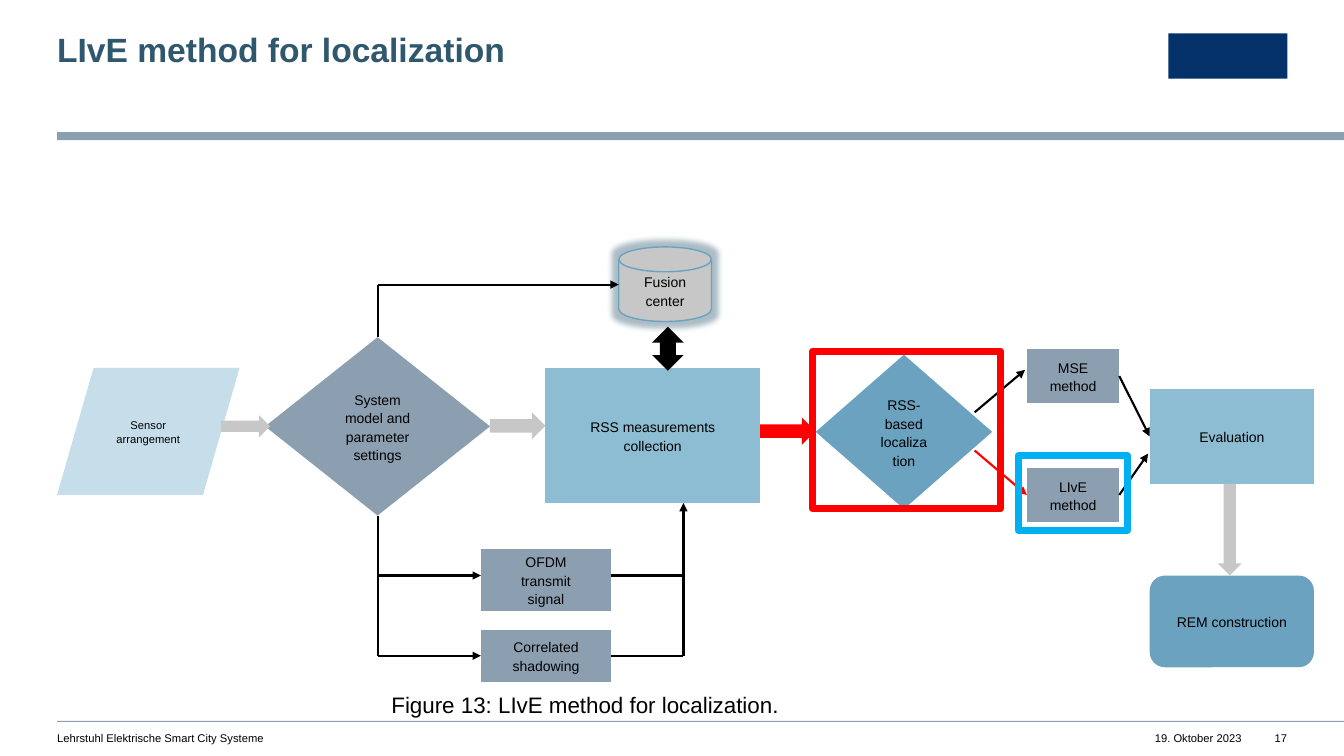
from lxml import etree
from pptx import Presentation
from pptx.dml.color import RGBColor
from pptx.enum.shapes import MSO_CONNECTOR, MSO_SHAPE
from pptx.enum.text import MSO_ANCHOR, PP_ALIGN
from pptx.oxml import parse_xml
from pptx.oxml.ns import qn
from pptx.util import Pt

THEME = {
    "font": "Arial",
    "title": "2F586E", "text": "000000", "logo": "04316A",
    "slate": "8C9FB1", "pale": "C6DEE9", "sky": "8DBDD2", "blue": "6BA2C0",
    "gray": "C7C7C7", "black": "000000", "red": "FF0000", "cyan": "00B0F0",
    "title_size": 24, "caption_size": 16, "step_size": 10, "small_size": 8,
}
TOP, LEFT, BOTTOM, RIGHT = range(4)

prs = Presentation()
prs.slide_width, prs.slide_height = Pt(960), Pt(540)
slide = prs.slides.add_slide(prs.slide_layouts[6])


def add_block(kind, at, fill=None, line=None, line_width=1):
    block = slide.shapes.add_shape(kind, *[Pt(v) for v in at])
    block.shadow.inherit = False
    if fill:
        block.fill.solid()
        block.fill.fore_color.rgb = RGBColor.from_string(THEME[fill])
    else:
        block.fill.background()
    if line:
        block.line.color.rgb = RGBColor.from_string(THEME[line])
        block.line.width = Pt(line_width)
    else:
        block.line.fill.background()
    return block


def write(shape, text, size, align, inset=0, anchor=MSO_ANCHOR.TOP,
          wrap=True, bold=False, color="text", **spacing):
    frame = shape.text_frame
    frame_format = {"word_wrap": wrap, "vertical_anchor": anchor}
    for side in ("left", "top", "right", "bottom"):
        frame_format["margin_" + side] = Pt(inset)
    paragraph = frame.paragraphs[0]
    paragraph.text = text
    font_format = {"name": THEME["font"], "size": Pt(THEME[size]), "bold": bold}
    for target, values in ((frame, frame_format),
                           (paragraph, {"alignment": align, **spacing}),
                           (paragraph.runs[0].font, font_format)):
        for name, value in values.items():
            setattr(target, name, value)
    paragraph.runs[0].font.color.rgb = RGBColor.from_string(THEME[color])


# Header and footer rules, plain block for the logo
add_block(MSO_SHAPE.RECTANGLE, (40.8, 94.3, 919.2, 5.8), "slate")
add_block(MSO_SHAPE.RECTANGLE, (40.8, 515, 919.2, 0.7), "slate")
add_block(MSO_SHAPE.RECTANGLE, (834.5, 23.8, 85, 32.4), "logo")

# Title, caption and footer
body_spacing = {"line_spacing": 1.1, "space_after": Pt(12)}
labels = [
    ("LIvE method for localization", (40.8, 23.8, 539.3, 25.9), "title_size",
     PP_ALIGN.LEFT, {"bold": True, "color": "title", "line_spacing": 0.9}),
    ("Figure 13: LIvE method for localization.", (279.6, 491.8, 506.9, 19.4),
     "caption_size", PP_ALIGN.LEFT, body_spacing),
    ("Lehrstuhl Elektrische Smart City Systeme", (40.8, 522.7, 430.6, 9.4),
     "small_size", PP_ALIGN.LEFT, {}),
    ("19. Oktober 2023", (820, 522.7, 67, 9.4), "small_size",
     PP_ALIGN.RIGHT, {"wrap": False}),
    ("17", (904.3, 522.7, 15.1, 9.4), "small_size",
     PP_ALIGN.RIGHT, {"wrap": False}),
]
for text, at, size, align, options in labels:
    label = slide.shapes.add_textbox(*[Pt(v) for v in at])
    write(label, text, size, align, **options)

# Block arrows between steps
block_arrows = [
    (MSO_SHAPE.RIGHT_ARROW, (157.7, 296.6, 35.3, 15.8), "gray"),
    (MSO_SHAPE.RIGHT_ARROW, (350, 294.5, 39.6, 19.4), "gray"),
    (MSO_SHAPE.RIGHT_ARROW, (542.9, 298.3, 39.6, 19.4), "red"),
    (MSO_SHAPE.DOWN_ARROW, (869.8, 345.6, 17.3, 65.4), "gray"),
    (MSO_SHAPE.UP_DOWN_ARROW, (465.8, 233.4, 22.6, 31.5), "black"),
]

# Process steps
process, decision = MSO_SHAPE.FLOWCHART_PROCESS, MSO_SHAPE.FLOWCHART_DECISION
step_specs = {
    "Sensor arrangement":
        (MSO_SHAPE.FLOWCHART_DATA, (40.8, 262.8, 130.3, 90.7), "pale"),
    "System model and parameter settings":
        (decision, (189.4, 240.9, 160.6, 127.4), "slate"),
    "RSS measurements collection":
        (process, (389.5, 262.8, 153.4, 96.5), "sky"),
    "OFDM transmit signal": (process, (343.5, 392.2, 92.9, 43.9), "slate"),
    "Correlated shadowing": (process, (343.5, 450, 92.9, 36.9), "slate"),
    "RSS-based localization":
        (decision, (582.7, 253.4, 126, 110.2), "blue"),
    "Fusion center":
        (MSO_SHAPE.FLOWCHART_MAGNETIC_DISK, (442, 176.4, 66.2, 53.3), "gray", "blue"),
    "MSE method": (process, (733.5, 249.2, 66, 38.9), "slate"),
    "LIvE method": (process, (733.5, 334.1, 66, 38.9), "slate"),
    "Evaluation": (process, (821.2, 277.9, 117.4, 67.7), "sky"),
    "REM construction":
        (MSO_SHAPE.FLOWCHART_ALTERNATE_PROCESS, (821.2, 411.1, 117.4, 65.5), "blue"),
}
steps = {}
for text, look in step_specs.items():
    steps[text] = add_block(*look)
    size = "small_size" if text == "Sensor arrangement" else "step_size"
    write(steps[text], text, size, PP_ALIGN.CENTER, inset=14.4,
          anchor=MSO_ANCHOR.MIDDLE, **body_spacing)
for look in block_arrows:
    add_block(*look)

# Glow around the fusion center
effects = steps["Fusion center"]._element.spPr.find(qn("a:effectLst"))
effects.append(parse_xml(
    '<a:glow xmlns:a="http://schemas.openxmlformats.org/drawingml/2006/main" '
    f'rad="{Pt(8)}"><a:srgbClr val="{THEME["title"]}">'
    '<a:alpha val="40000"/></a:srgbClr></a:glow>'))

# Thin lines: start, end, arrowhead, colour, joined start, joined end
system, mse, live, evaluation, shadowing = (steps[name] for name in (
    "System model and parameter settings", "MSE method", "LIvE method",
    "Evaluation", "Correlated shadowing"))
trunk_x, merge_x = 269.7, 488.2
signal_y, shadowing_y, fusion_y = 411.1, 468.45, 203.3
links = [
    ((trunk_x, 368.3), (trunk_x, shadowing_y), False, "black", (system, BOTTOM), None),
    ((trunk_x, signal_y), (343.5, signal_y), True, "black", None, None),
    ((trunk_x, shadowing_y), (343.5, shadowing_y), True, "black",
     None, (shadowing, LEFT)),
    ((436.4, signal_y), (merge_x, signal_y), False, "black", None, None),
    ((436.4, shadowing_y), (merge_x, shadowing_y), False, "black",
     (shadowing, RIGHT), None),
    ((merge_x, shadowing_y), (merge_x, 359.3), True, "black", None, None),
    ((trunk_x, 240.9), (trunk_x, fusion_y), False, "black", (system, TOP), None),
    ((trunk_x, fusion_y), (442, fusion_y), True, "black", None, None),
    ((696.2, 294.5), (732.2, 264.2), True, "black", None, None),
    ((696.2, 321.8), (733.5, 353.5), True, "red", None, (live, LEFT)),
    ((799.5, 268.6), (821.2, 311.8), True, "black", (mse, RIGHT), (evaluation, LEFT)),
    ((799.5, 353.5), (820.1, 324), True, "black", (live, RIGHT), None),
]
for start, end, arrowhead, color, source, target in links:
    link = slide.shapes.add_connector(
        MSO_CONNECTOR.STRAIGHT, *[Pt(v) for v in start + end])
    link.line.color.rgb = RGBColor.from_string(THEME[color])
    link.line.width = Pt(1.5)
    if source:
        link.begin_connect(*source)
    if target:
        link.end_connect(*target)
    if arrowhead:
        etree.SubElement(link.line._get_or_add_ln(), qn("a:tailEnd"), type="triangle")
    etree.SubElement(link._element.spPr, qn("a:effectLst"))

# Highlight frames with rounded corners
for at, color in (((580.3, 250.9, 134.6, 112.7), "red"),
                  ((727.5, 325.4, 77.8, 53.7), "cyan")):
    highlight = add_block(MSO_SHAPE.RECTANGLE, at, line=color, line_width=5)
    etree.SubElement(highlight.line._get_or_add_ln(), qn("a:round"))

prs.save("out.pptx")
